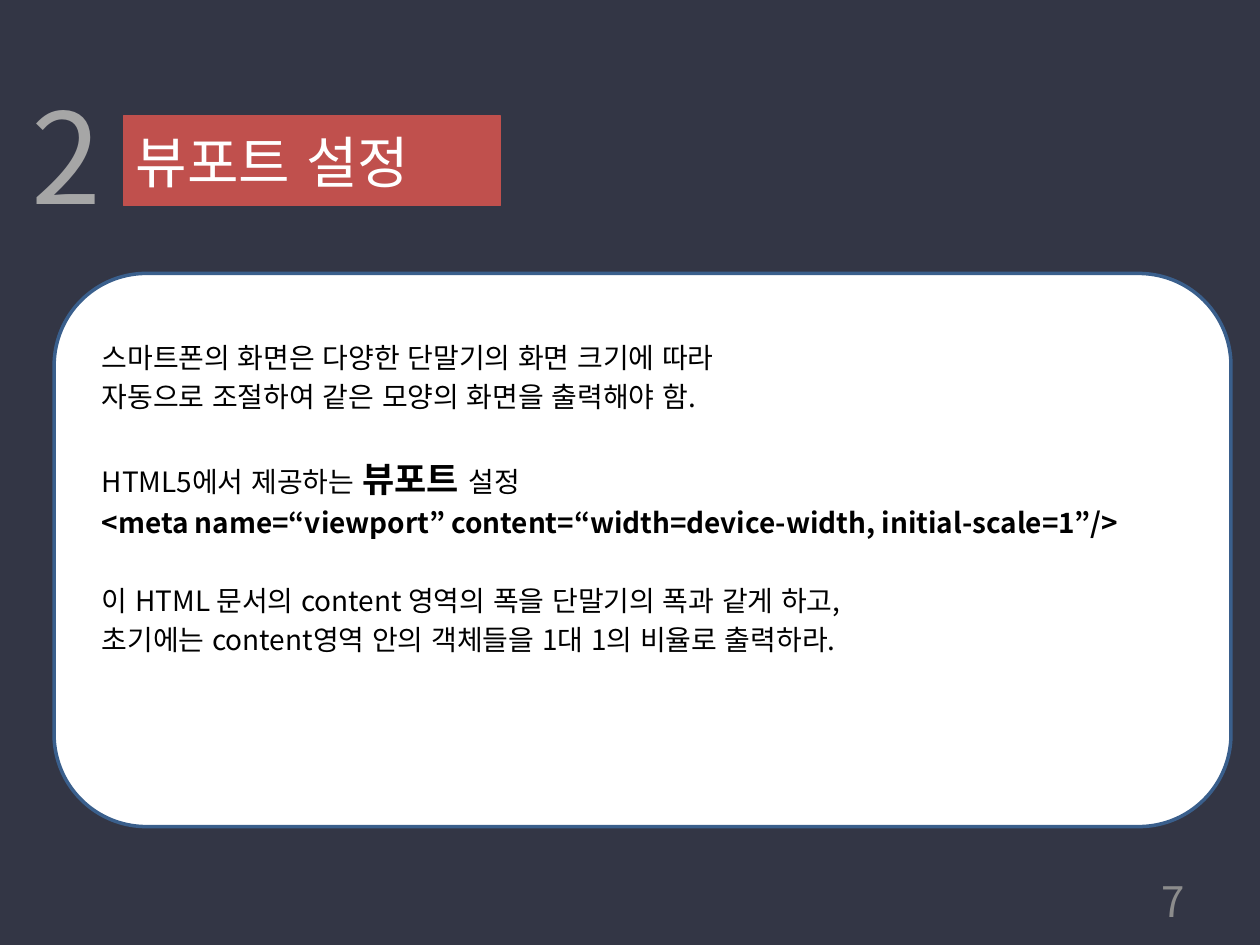
from lxml import etree
from pptx import Presentation
from pptx.dml.color import RGBColor
from pptx.enum.lang import MSO_LANGUAGE_ID as Language
from pptx.enum.shapes import MSO_SHAPE as Shape
from pptx.enum.text import MSO_ANCHOR as Anchor, PP_ALIGN as Align
from pptx.oxml.ns import qn
from pptx.util import Inches, Pt

NAVY = RGBColor(0x33, 0x36, 0x45)
WHITE = RGBColor(0xFF, 0xFF, 0xFF)
BLACK = RGBColor(0x00, 0x00, 0x00)
BLUE = RGBColor(0x3A, 0x5F, 0x8C)
RED = RGBColor(0xC0, 0x50, 0x4D)
LIGHT_GRAY = RGBColor(0xA6, 0xA6, 0xA6)
GRAY = RGBColor(0x8C, 0x8C, 0x8C)
FONT = "Noto Sans CJK KR"

SECTION = "2"
TITLE = "뷰포트 설정"
PAGE = "7"
EXPLANATION = [
    [
        [("스마트폰의 화면은 다양한 단말기의 화면 크기에 따라", 16, False)],
        [("자동으로 조절하여 같은 모양의 화면을 출력해야 함.", 16, False)],
    ],
    [
        [("HTML5에서 제공하는 ", 16, False), ("뷰포트 ", 20, True), ("설정", 16, False)],
        [("<meta name=“viewport” content=“width=device-width, initial-scale=1”/>", 16, True)],
    ],
    [
        [("이 HTML 문서의 content 영역의 폭을 단말기의 폭과 같게 하고,", 16, False)],
        [("초기에는 content영역 안의 객체들을 1대 1의 비율로 출력하라.", 16, False)],
    ],
]
LINE_GAP = Pt(3.2)
GROUP_GAP = Pt(25.6)


def add_run(paragraph, text, size, color, bold=False):
    run = paragraph.add_run()
    run.text = text
    run.font.size = Pt(size)
    run.font.bold = bold
    run.font.color.rgb = color
    run.font.name = FONT
    run.font.language_id = Language.KOREAN
    etree.SubElement(run.font._element, qn("a:ea"), typeface=FONT)


def add_panel(slide, kind, box, fill, line, width):
    panel = slide.shapes.add_shape(kind, *map(Inches, box))
    panel.shadow.inherit = False
    panel.fill.solid()
    panel.fill.fore_color.rgb = fill
    panel.line.color.rgb = line
    panel.line.width = Pt(width)
    return panel


def add_text(slide, box, anchor=Anchor.TOP):
    frame = slide.shapes.add_textbox(*map(Inches, box)).text_frame
    frame.word_wrap = True
    frame.vertical_anchor = anchor
    return frame


def add_explanation(frame):
    paragraph = frame.paragraphs[0]
    for group_index, group in enumerate(EXPLANATION):
        for line_index, line in enumerate(group):
            if group_index or line_index:
                paragraph = frame.add_paragraph()
                paragraph.space_before = LINE_GAP if line_index else GROUP_GAP
            for text, size, bold in line:
                add_run(paragraph, text, size, BLACK, bold)


def main():
    deck = Presentation()
    deck.slide_width, deck.slide_height = Inches(10), Inches(7.5)
    slide = deck.slides.add_slide(deck.slide_layouts[6])
    slide.background.fill.solid()
    slide.background.fill.fore_color.rgb = NAVY

    add_panel(slide, Shape.ROUNDED_RECTANGLE, (0.43, 2.17, 9.34, 4.39), WHITE, BLUE, 2)
    add_explanation(add_text(slide, (0.71, 2.65, 9.53, 4.96)))

    page = add_text(slide, (7.17, 6.95, 2.33, 0.4), Anchor.MIDDLE).paragraphs[0]
    page.alignment = Align.RIGHT
    add_run(page, PAGE, 24, GRAY)

    banner = add_panel(slide, Shape.RECTANGLE, (0.98, 0.92, 2.99, 0.71), RED, RED, 0.75)
    banner.text_frame.vertical_anchor = Anchor.MIDDLE
    title = banner.text_frame.paragraphs[0]
    title.alignment = Align.LEFT
    add_run(title, TITLE, 32, WHITE)

    section = add_text(slide, (0.15, 0.57, 1.1, 1.31)).paragraphs[0]
    add_run(section, SECTION, 72, LIGHT_GRAY)

    deck.save("out.pptx")


if __name__ == "__main__":
    main()
